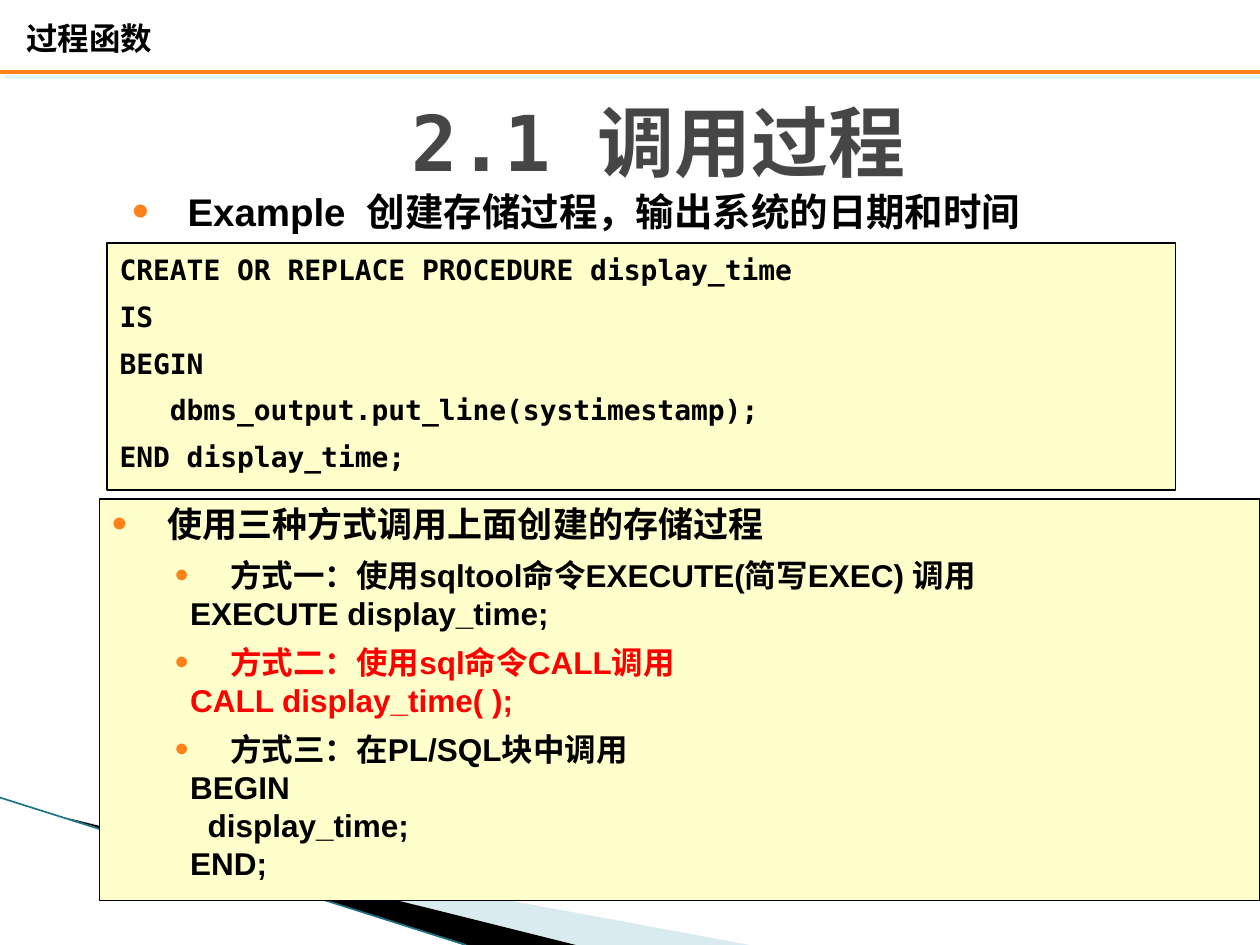
"""Build the slide on three ways to call a stored procedure."""
import dataclasses
import typing

import lxml.etree
import pptx
import pptx.dml.color
import pptx.enum.lang
import pptx.enum.shapes
import pptx.enum.text
import pptx.oxml.ns
import pptx.util

Inches = pptx.util.Inches
Pt = pptx.util.Pt
ALIGN = pptx.enum.text.PP_ALIGN
ANCHOR = pptx.enum.text.MSO_ANCHOR


@dataclasses.dataclass(frozen=True)
class Theme:
    black: str = "000000"
    gray: str = "464646"
    red: str = "FF0000"
    cream: str = "FFFFCC"
    orange: str = "FF8119"
    teal: str = "1B7587"
    pale: str = "D9EAF1"
    glow: str = "DEF5FA"
    sans: str = "Arial"
    mono: str = "DejaVu Sans Mono"
    title: float = 44
    lead: float = 22
    head: float = 20
    body: float = 18
    code: float = 16


THEME = Theme()


@dataclasses.dataclass(frozen=True)
class Line:
    text: str
    size: float = THEME.body
    color: str = THEME.black
    font: str = THEME.sans
    left: float = 0
    hang: float = 0
    pitch: typing.Any = Pt(21.7)
    above: float = 0
    align: typing.Any = ALIGN.LEFT


@dataclasses.dataclass(frozen=True)
class Panel:
    box: tuple[float, float, float, float]
    lines: list[Line]
    fill: str = ""
    anchor: typing.Any = ANCHOR.TOP


@dataclasses.dataclass(frozen=True)
class Wedge:
    points: list[tuple[float, float]]
    color: str


@dataclasses.dataclass(frozen=True)
class Rule:
    start: tuple[float, float]
    end: tuple[float, float]
    color: str
    width: float
    glow: str = ""


def paint(color: str) -> pptx.dml.color.RGBColor:
    return pptx.dml.color.RGBColor.from_string(color)


def add_node(parent: typing.Any, tag: str, **attrs: str) -> typing.Any:
    return lxml.etree.SubElement(parent, pptx.oxml.ns.qn(tag), **attrs)


def draw_line(para: typing.Any, line: Line) -> None:
    para.text = line.text
    para.alignment = line.align
    para.line_spacing = line.pitch
    para.space_before = Pt(line.above)
    props = para._p.get_or_add_pPr()
    props.set("marL", str(Inches(line.left)))
    props.set("indent", str(Inches(-line.hang)))
    if line.hang:
        add_node(add_node(props, "a:buClr"), "a:srgbClr", val=THEME.orange)
        add_node(props, "a:buSzPct", val="125000")
        add_node(props, "a:buFont", typeface=THEME.sans)
        add_node(props, "a:buChar", char="•")
    for run in para.runs:
        font = run.font
        font.name, font.size, font.bold = line.font, Pt(line.size), True
        font.color.rgb = paint(line.color)
        font.language_id = pptx.enum.lang.MSO_LANGUAGE_ID.SIMPLIFIED_CHINESE
        add_node(run._r.get_or_add_rPr(), "a:ea", typeface=line.font)


def draw_panel(shapes: typing.Any, panel: Panel) -> None:
    box = [Inches(n) for n in panel.box]
    if panel.fill:
        shape = shapes.add_shape(pptx.enum.shapes.MSO_SHAPE.RECTANGLE, *box)
        shape.shadow.inherit = False
        shape.fill.solid()
        shape.fill.fore_color.rgb = paint(panel.fill)
        shape.line.color.rgb = paint(THEME.black)
        shape.line.width = Pt(0.75)
    else:
        shape = shapes.add_textbox(*box)
    frame = shape.text_frame
    frame.word_wrap = True
    frame.vertical_anchor = panel.anchor
    frame.text = "\n".join(line.text for line in panel.lines)
    for para, line in zip(frame.paragraphs, panel.lines):
        draw_line(para, line)


def draw_wedge(shapes: typing.Any, wedge: Wedge) -> None:
    first, *rest = [(Inches(x), Inches(y)) for x, y in wedge.points]
    pen = shapes.build_freeform(*first)
    pen.add_line_segments(rest, close=True)
    shape = pen.convert_to_shape()
    shape.shadow.inherit = False
    shape.fill.solid()
    shape.fill.fore_color.rgb = paint(wedge.color)
    shape.line.fill.background()


def draw_rule(shapes: typing.Any, rule: Rule) -> None:
    ends = [Inches(n) for n in rule.start + rule.end]
    link = shapes.add_connector(pptx.enum.shapes.MSO_CONNECTOR.STRAIGHT, *ends)
    link.line.color.rgb = paint(rule.color)
    link.line.width = Pt(rule.width)
    effects = add_node(link._element.spPr, "a:effectLst")
    if rule.glow:
        shade = add_node(effects, "a:outerShdw", blurRad="0", dist=str(Pt(4.2)),
                         dir="2700000", algn="ctr", rotWithShape="0")
        add_node(shade, "a:srgbClr", val=rule.glow)


def code_line(text: str, left: float = 0, above: float = 5.6) -> Line:
    return Line(text, THEME.code, font=THEME.mono, left=left, pitch=1.1, above=above)


def way_line(text: str, color: str = THEME.black) -> Line:
    return Line(text, color=color, left=0.94, hang=0.44, above=6.3)


def call_line(text: str, color: str = THEME.black, left: float = 0.62) -> Line:
    return Line(text, color=color, left=left)


WEDGES = [
    Wedge([(0.55, 6.5), (5.95, 7.5), (4.56, 7.5)], THEME.pale),
    Wedge([(0.53, 6.49), (4.57, 7.5), (3.68, 7.5)], THEME.black),
]
RULES = [
    Rule((0, 6.33), (3.7, 7.5), THEME.teal, 0.95),
    Rule((0, 0.57), (10, 0.57), THEME.orange, 2, THEME.glow),
]
PANELS = [
    Panel((0.11, 0.1, 5.57, 0.4), [Line("过程函数")]),
    Panel((1.18, 0.64, 8.1, 0.96),
          [Line("2.1 调用过程", THEME.title, THEME.gray, THEME.mono,
                pitch=1.0, align=ALIGN.CENTER)], anchor=ANCHOR.MIDDLE),
    Panel((0.95, 1.47, 8.49, 0.45),
          [Line("Example  创建存储过程，输出系统的日期和时间", THEME.lead,
                left=0.44, hang=0.44, pitch=Pt(24.5))]),
    Panel((0.79, 3.96, 9.21, 3.19), [
        Line("使用三种方式调用上面创建的存储过程", THEME.head,
             left=0.44, hang=0.44, pitch=Pt(22.4)),
        way_line("方式一：使用sqltool命令EXECUTE(简写EXEC) 调用"),
        call_line("EXECUTE display_time;"),
        way_line("方式二：使用sql命令CALL调用", THEME.red),
        call_line("CALL display_time( );", THEME.red),
        way_line("方式三：在PL/SQL块中调用"),
        call_line("BEGIN"),
        call_line("display_time;", left=0.76),
        call_line("END;"),
    ], THEME.cream),
    Panel((0.85, 1.93, 8.48, 1.96), [
        code_line("CREATE OR REPLACE PROCEDURE display_time", above=0),
        code_line("IS"),
        code_line("BEGIN"),
        code_line("dbms_output.put_line(systimestamp);", left=0.4),
        code_line("END display_time;"),
    ], THEME.cream),
]

deck = pptx.Presentation()
deck.slide_width, deck.slide_height = Inches(10), Inches(7.5)
shapes = deck.slides.add_slide(deck.slide_layouts[6]).shapes
for wedge in WEDGES:
    draw_wedge(shapes, wedge)
for rule in RULES:
    draw_rule(shapes, rule)
for panel in PANELS:
    draw_panel(shapes, panel)
deck.save("out.pptx")
